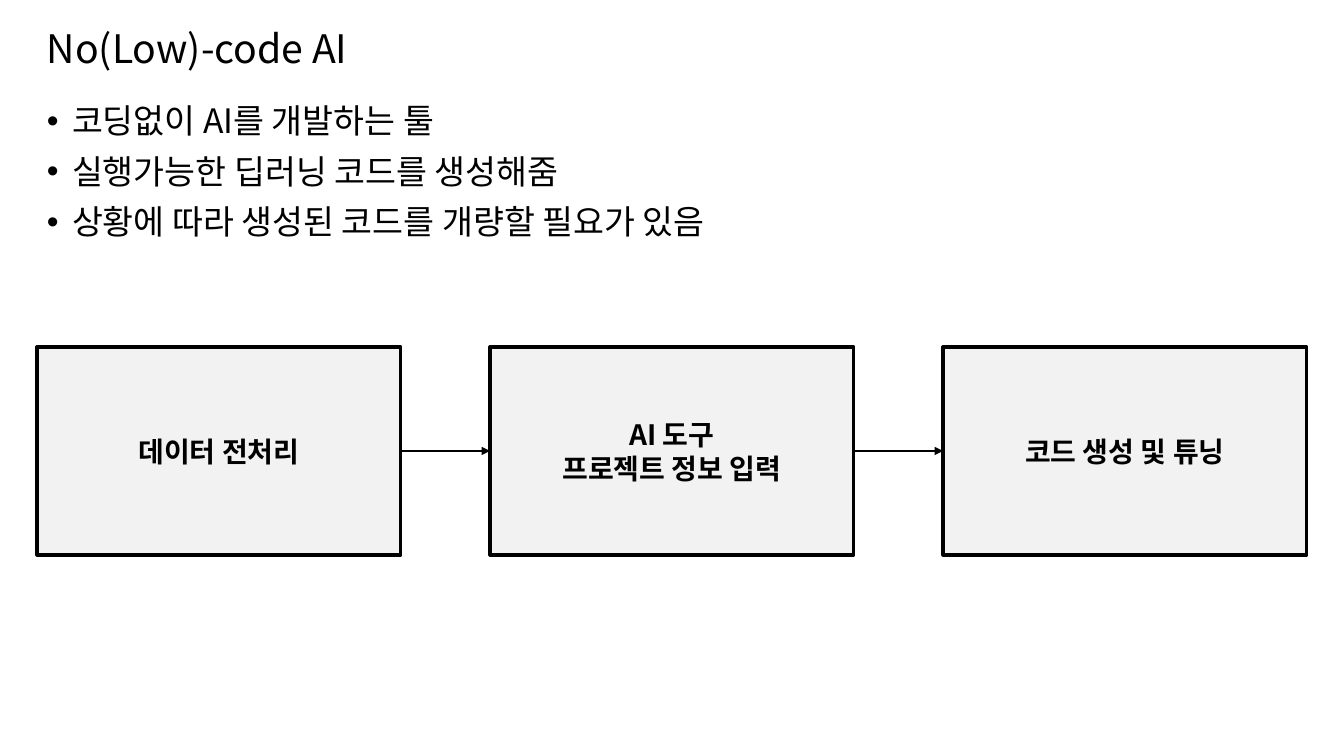
from lxml.etree import SubElement
from pptx import Presentation
from pptx.dml.color import RGBColor
from pptx.enum.shapes import MSO_CONNECTOR, MSO_SHAPE
from pptx.enum.text import MSO_ANCHOR, PP_ALIGN
from pptx.oxml.ns import qn
from pptx.util import Pt

PX = 914400 / 100.8
FONT = "Noto Sans CJK KR"
BLACK = "000000"
LEFT, WIDTH = 37, 1270
BOX_TOP, BOX_W, BOX_H, BOX_STEP = 347, 364, 208, 453


def px(*lengths):
    """Turn pixel lengths into EMU."""
    return [round(n * PX) for n in lengths]


def style_text(tf, size, bold=False):
    tf.word_wrap = True
    for p in tf.paragraphs:
        for r in p.runs:
            r.font.size = Pt(size)
            r.font.bold = bold
            r.font.color.rgb = RGBColor.from_string(BLACK)
            r.font.name = FONT
            SubElement(r._r.get_or_add_rPr(), qn("a:ea"), typeface=FONT)


prs = Presentation()
prs.slide_width, prs.slide_height = px(1344, 756)
s = prs.slides.add_slide(prs.slide_layouts[6])

# Title
tf = s.shapes.add_textbox(*px(LEFT, 21, WIDTH, 59)).text_frame
tf.text = "No(Low)-code AI"
tf.vertical_anchor = MSO_ANCHOR.MIDDLE
tf.paragraphs[0].line_spacing = 0.9
style_text(tf, 28)

# Bullets
tf = s.shapes.add_textbox(*px(LEFT, 100, WIDTH, 596)).text_frame
tf.text = "코딩없이 AI를 개발하는 툴\n실행가능한 딥러닝 코드를 생성해줌\n상황에 따라 생성된 코드를 개량할 필요가 있음"
for i, p in enumerate(tf.paragraphs):
    p.line_spacing = 0.9
    p.space_before = Pt(10 if i else 0)
    pPr = p._p.get_or_add_pPr()
    pPr.set("marL", "228600")
    pPr.set("indent", "-228600")
    SubElement(pPr, qn("a:buFont"), typeface="Arial")
    SubElement(pPr, qn("a:buChar"), char="•")
style_text(tf, 24)

# Process boxes
steps = ["데이터 전처리", "AI 도구\v프로젝트 정보 입력", "코드 생성 및 튜닝"]
boxes = []
for i, step in enumerate(steps):
    box = s.shapes.add_shape(
        MSO_SHAPE.RECTANGLE, *px(LEFT + i * BOX_STEP, BOX_TOP, BOX_W, BOX_H))
    box.shadow.inherit = False
    box.fill.solid()
    box.fill.fore_color.rgb = RGBColor.from_string("F2F2F2")
    box.line.color.rgb = RGBColor.from_string(BLACK)
    box.line.width = Pt(2.25)
    tf = box.text_frame
    tf.text = step
    tf.vertical_anchor = MSO_ANCHOR.MIDDLE
    tf.paragraphs[0].alignment = PP_ALIGN.CENTER
    style_text(tf, 20, bold=True)
    boxes.append(box)

# Arrows between neighbouring boxes
for box, following in zip(boxes, boxes[1:]):
    arrow = s.shapes.add_connector(MSO_CONNECTOR.STRAIGHT, 0, 0, 0, 0)
    arrow.begin_connect(box, 3)
    arrow.end_connect(following, 1)
    arrow.line.color.rgb = RGBColor.from_string(BLACK)
    arrow.line.width = Pt(1.5)
    SubElement(arrow.line._get_or_add_ln(), qn("a:tailEnd"), type="triangle")
    SubElement(arrow._element.spPr, qn("a:effectLst"))

prs.save("out.pptx")
